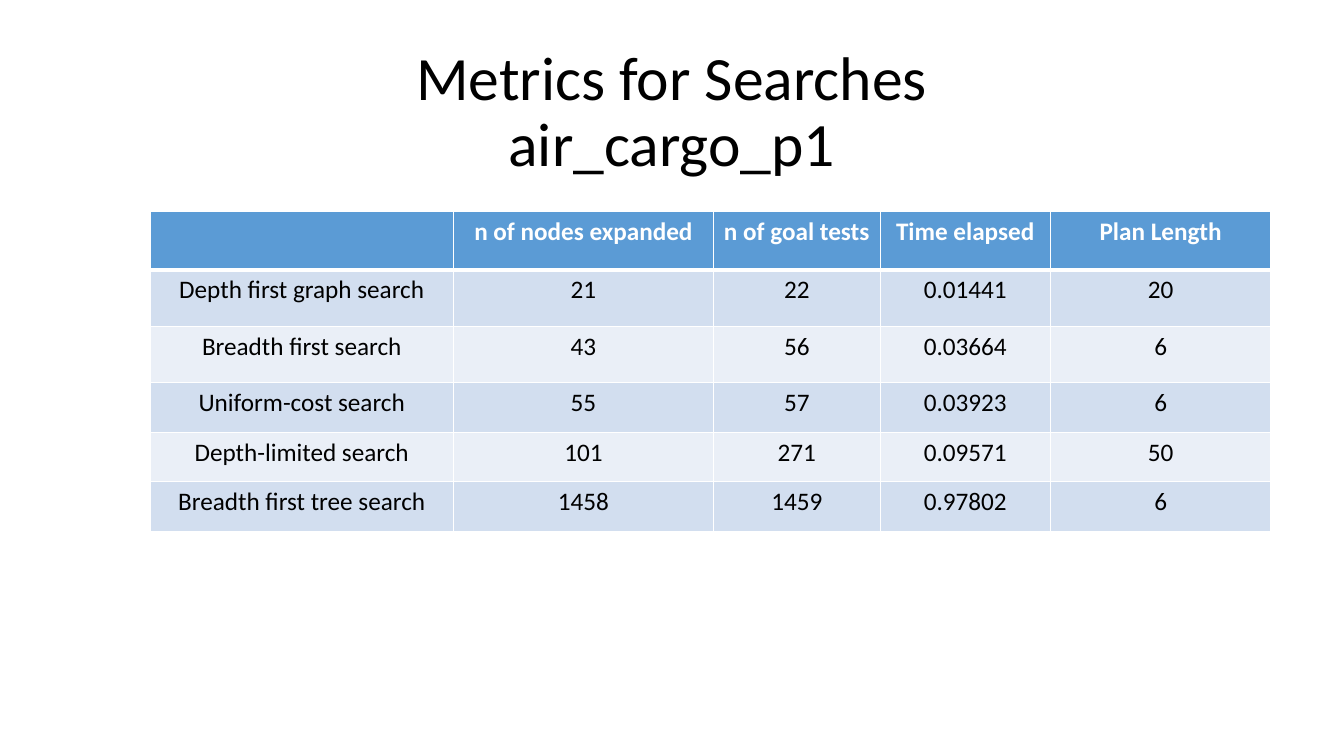
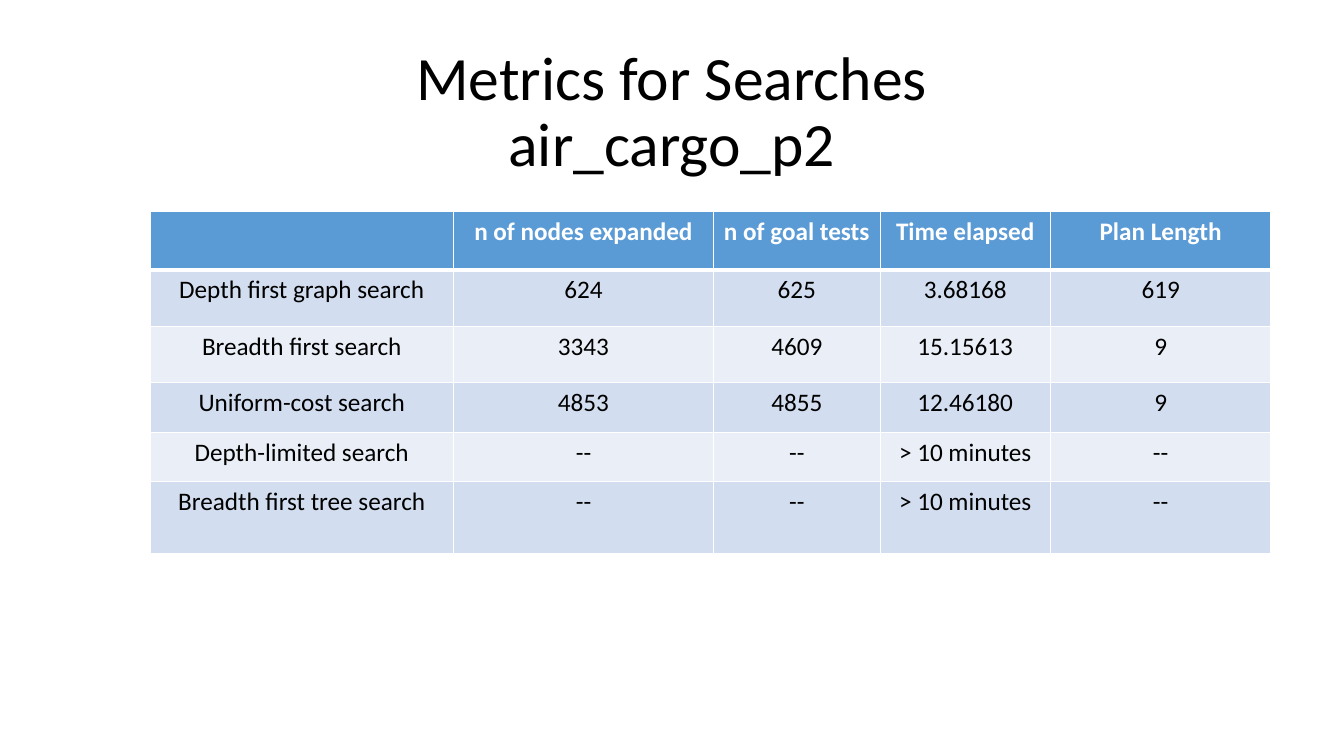
"""Build two slides of search metrics for the air cargo problems."""
from lxml import etree
from pptx import Presentation
from pptx.dml.color import RGBColor
from pptx.enum import text
from pptx.oxml import ns
from pptx.util import Cm, Pt

HEADERS = ["", "n of nodes expanded", "n of goal tests", "Time elapsed", "Plan Length"]
SEARCHES = [
    "Depth first graph search",
    "Breadth first search",
    "Uniform-cost search",
    "Depth-limited search",
    "Breadth first tree search",
]
TIMED_OUT = ("--", "--", "> 10 minutes", "--")
PROBLEMS = [
    {
        "name": "air_cargo_p1",
        "results": [
            ("21", "22", "0.01441", "20"),
            ("43", "56", "0.03664", "6"),
            ("55", "57", "0.03923", "6"),
            ("101", "271", "0.09571", "50"),
            ("1458", "1459", "0.97802", "6"),
        ],
        "last_row": 1.25,
    },
    {
        "name": "air_cargo_p2",
        "results": [
            ("624", "625", "3.68168", "619"),
            ("3343", "4609", "15.15613", "9"),
            ("4853", "4855", "12.46180", "9"),
            TIMED_OUT,
            TIMED_OUT,
        ],
        "last_row": 1.8,
    },
]

COLORS = {
    "header": "5B9BD5",
    "odd": "D2DEEF",
    "even": "EAEFF7",
    "white": "FFFFFF",
    "black": "000000",
}
FONT = "Calibri"
COL_WIDTHS = [7.65, 6.55, 4.2, 4.29, 5.56]
ROW_HEIGHTS = [1.47, 1.42, 1.42, 1.25, 1.25]


def style(p, size, color, bold=False):
    p.alignment = text.PP_ALIGN.CENTER
    p.font.name = FONT
    p.font.size = Pt(size)
    p.font.bold = bold
    p.font.color.rgb = RGBColor.from_string(COLORS[color])


def add_title(s, name):
    tf = s.shapes.add_textbox(Cm(2.33), Cm(1.02), Cm(29.21), Cm(3.68)).text_frame
    tf.word_wrap = True
    tf.vertical_anchor = text.MSO_ANCHOR.MIDDLE
    p = tf.paragraphs[0]
    p.text = f"Metrics for Searches\v{name}"
    p.line_spacing = 0.9
    style(p, 44, "black")


def set_borders(cell, row):
    tc_pr = cell._tc.get_or_add_tcPr()
    widths = {"L": 1, "R": 1, "T": 3 if row == 1 else 1, "B": 3 if row == 0 else 1}
    for side, width in widths.items():
        ln = etree.SubElement(tc_pr, ns.qn(f"a:ln{side}"), w=str(Pt(width)))
        fill = etree.SubElement(ln, ns.qn("a:solidFill"))
        etree.SubElement(fill, ns.qn("a:srgbClr"), val=COLORS["white"])


def fill_cell(cell, row, value):
    header = row == 0
    band = "header" if header else "odd" if row % 2 else "even"
    set_borders(cell, row)
    cell.fill.solid()
    cell.fill.fore_color.rgb = RGBColor.from_string(COLORS[band])
    cell.margin_left = cell.margin_right = Cm(0.2)
    cell.text = value
    style(cell.text_frame.paragraphs[0], 18, "white" if header else "black", header)


def add_metrics(s, results, last_row):
    rows = [HEADERS] + [(search, *values) for search, values in zip(SEARCHES, results)]
    heights = ROW_HEIGHTS + [last_row]
    table = s.shapes.add_table(
        len(rows), len(HEADERS), Cm(3.78), Cm(5.33), Cm(sum(COL_WIDTHS)), Cm(sum(heights))
    ).table
    for column, width in zip(table.columns, COL_WIDTHS):
        column.width = Cm(width)
    for i, (values, height) in enumerate(zip(rows, heights)):
        table.rows[i].height = Cm(height)
        for j, value in enumerate(values):
            fill_cell(table.cell(i, j), i, value)


def main():
    prs = Presentation()
    prs.slide_width, prs.slide_height = Cm(33.87), Cm(19.05)
    for problem in PROBLEMS:
        s = prs.slides.add_slide(prs.slide_layouts[6])
        add_title(s, problem["name"])
        add_metrics(s, problem["results"], problem["last_row"])
    prs.save("out.pptx")


if __name__ == "__main__":
    main()
